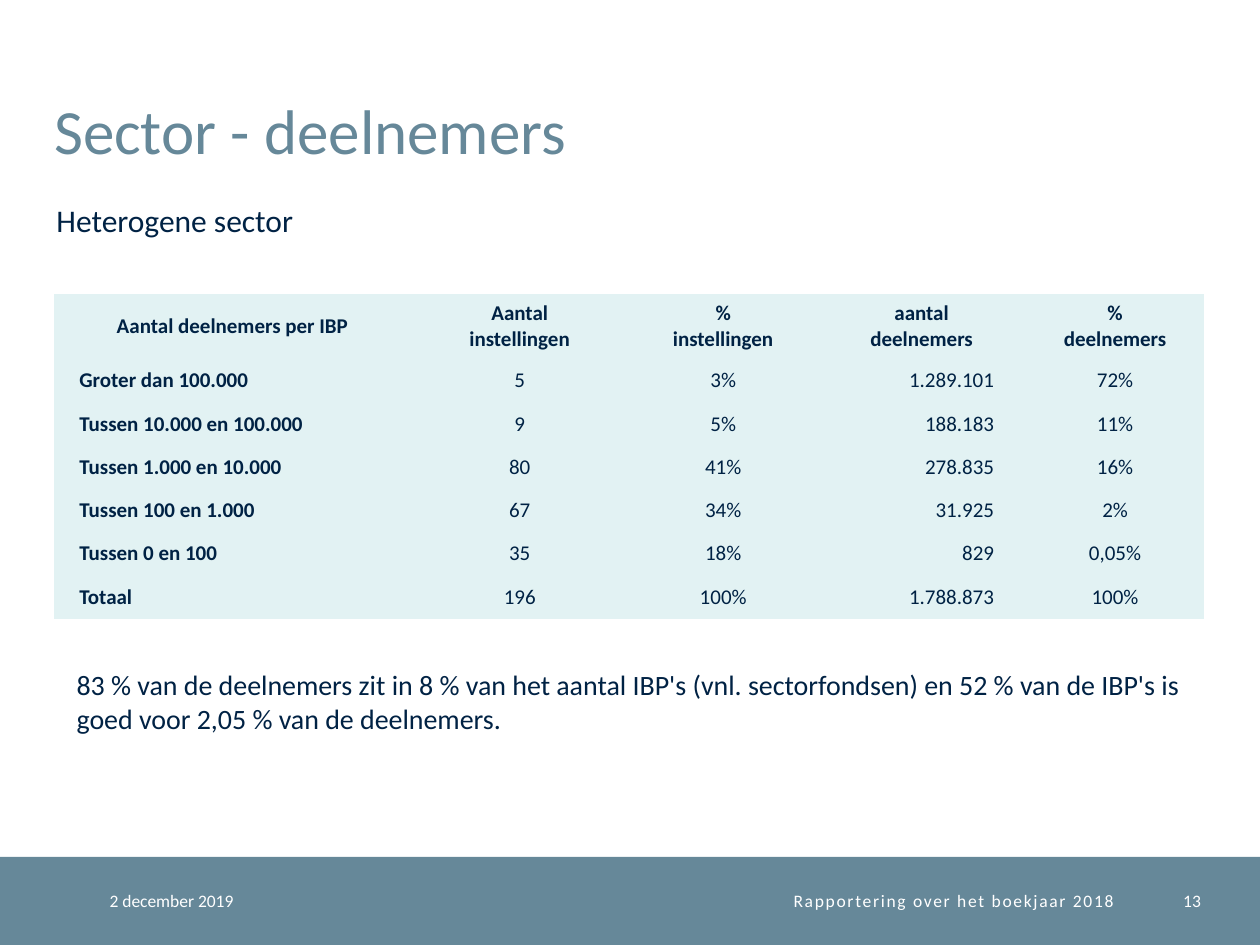
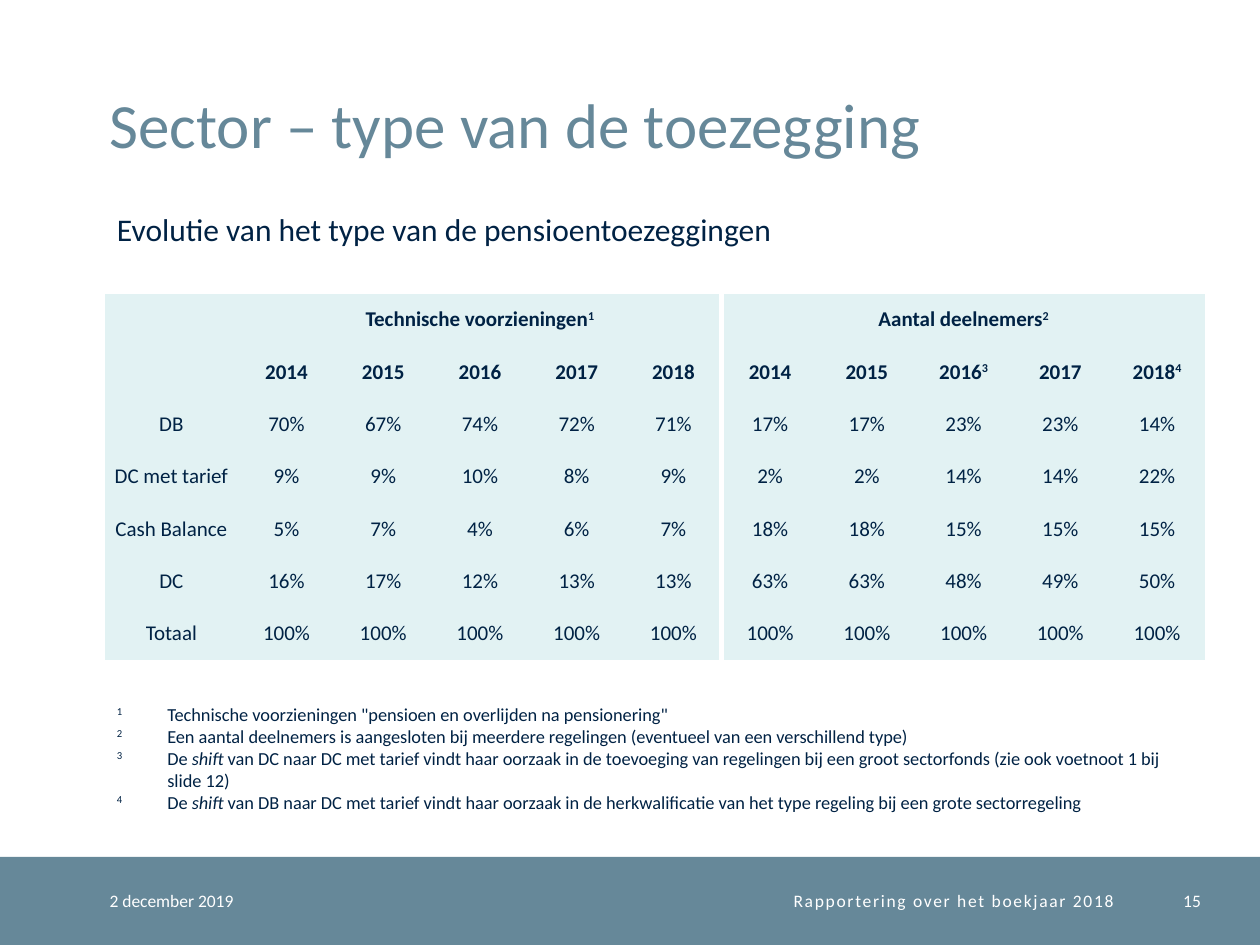
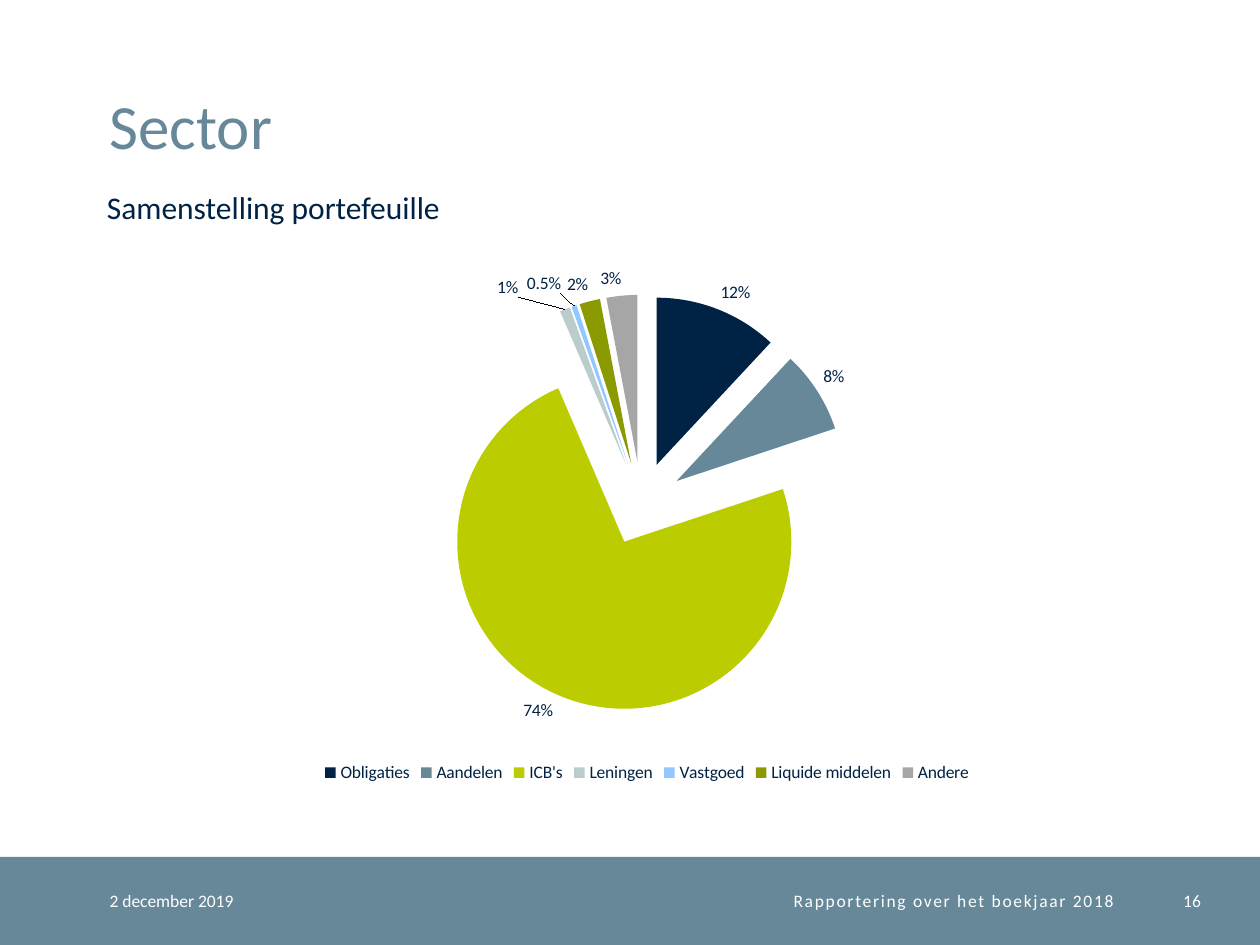
from pptx import Presentation
from pptx.chart.data import CategoryChartData
from pptx.dml.color import RGBColor
from pptx.enum.chart import XL_CHART_TYPE, XL_LABEL_POSITION, XL_LEGEND_POSITION
from pptx.enum.shapes import MSO_SHAPE
from pptx.enum.text import MSO_ANCHOR, MSO_AUTO_SIZE, PP_ALIGN
from pptx.oxml import parse_xml
from pptx.oxml.ns import nsdecls, qn
from pptx.util import Inches, Pt

WHITE = RGBColor(0xFF, 0xFF, 0xFF)
NAVY = RGBColor(0x00, 0x22, 0x44)
STEEL = RGBColor(0x66, 0x88, 0x99)
MINT = RGBColor(0xE2, 0xF2, 0xF3)
LIME = RGBColor(0xBB, 0xCC, 0x00)
MIST = RGBColor(0xBB, 0xCC, 0xCC)
SKY = RGBColor(0x91, 0xC8, 0xFF)
OLIVE = RGBColor(0x8B, 0x9A, 0x00)
GREY = RGBColor(0xA6, 0xA6, 0xA6)

LEFT, CENTER, RIGHT = PP_ALIGN.LEFT, PP_ALIGN.CENTER, PP_ALIGN.RIGHT
MIDDLE, BOTTOM = MSO_ANCHOR.MIDDLE, MSO_ANCHOR.BOTTOM
FIXED = MSO_AUTO_SIZE.NONE
RECT = MSO_SHAPE.RECTANGLE
PIE = XL_CHART_TYPE.PIE
BELOW = XL_LEGEND_POSITION.BOTTOM
OUTSIDE = XL_LABEL_POSITION.OUTSIDE_END

FONT = "Calibri"
DATE = "2 december 2019"
REPORT = "Rapportering over het boekjaar 2018"
PLAIN_GRID = "{2D5ABB26-0587-4C30-8999-92F81FD0307C}"

SIZES = [
    (["Aantal deelnemers per IBP"], ["Aantal", "instellingen"], ["%", "instellingen"],
     ["aantal", "deelnemers"], ["%", "deelnemers"]),
    ("Groter dan 100.000", "5", "3%", "1.289.101", "72%"),
    ("Tussen 10.000 en 100.000", "9", "5%", "188.183", "11%"),
    ("Tussen 1.000 en 10.000", "80", "41%", "278.835", "16%"),
    ("Tussen 100 en 1.000", "67", "34%", "31.925", "2%"),
    ("Tussen 0 en 100", "35", "18%", "829", "0,05%"),
    ("Totaal", "196", "100%", "1.788.873", "100%"),
]

# A piece that starts with ^ is raised, one that starts with _ is italic.
PLANS = [
    ("2014", "2015", "2016", "2017", "2018",
     "2014", "2015", ("2016", "^3"), "2017", ("2018", "^4")),
    ("70%", "67%", "74%", "72%", "71%", "17%", "17%", "23%", "23%", "14%"),
    ("9%", "9%", "10%", "8%", "9%", "2%", "2%", "14%", "14%", "22%"),
    ("5%", "7%", "4%", "6%", "7%", "18%", "18%", "15%", "15%", "15%"),
    ("16%", "17%", "12%", "13%", "13%", "63%", "63%", "48%", "49%", "50%"),
    ("100%",) * 10,
]
PLAN_NAMES = ["", "DB", "DC met tarief", "Cash Balance", "DC", "Totaal"]

NOTES = [
    ("^1", '\tTechnische voorzieningen "pensioen en overlijden na pensionering"'),
    ("^2", "\tEen aantal deelnemers is aangesloten bij meerdere regelingen "
           "(eventueel van een verschillend type)"),
    ("^3", "\tDe ", "_shift", " van DC naar DC met tarief vindt haar oorzaak in de toevoeging "
           "van regelingen bij een groot sectorfonds (zie ook voetnoot 1 bij slide 12)"),
    ("^4", "\tDe ", "_shift", " van DB naar DC met tarief vindt haar oorzaak in de "
           "herkwalificatie van het type regeling bij een grote sectorregeling"),
]

ASSETS = [
    ("Obligaties", 0.12, NAVY), ("Aandelen", 0.08, STEEL), ("ICB's", 0.74, LIME),
    ("Leningen", 0.01, MIST), ("Vastgoed", 0.005, SKY),
    ("Liquide middelen", 0.02, OLIVE), ("Andere", 0.03, GREY),
]


def style(font, size, color, bold=False):
    font.name, font.size, font.bold = FONT, Pt(size), bold
    font.color.rgb = color


def write(frame, paras, size, color, align=LEFT, bold=False, hang=0):
    """Fill a text frame; a paragraph is a string or a tuple of pieces."""
    for i, pieces in enumerate(paras):
        para = frame.add_paragraph() if i else frame.paragraphs[0]
        para.alignment = align
        if hang:
            props = para._p.get_or_add_pPr()
            props.set("marL", str(Inches(hang)))
            props.set("indent", str(-Inches(hang)))
        style(para.font, size, color, bold)
        for piece in (pieces,) if isinstance(pieces, str) else pieces:
            run = para.add_run()
            run.text = piece.lstrip("^_")
            if piece.startswith("^"):
                run._r.get_or_add_rPr().set("baseline", "30000")
            elif piece.startswith("_"):
                run.font.italic = True


def trim(frame):
    """Remove the insets of a text frame."""
    frame.margin_left = frame.margin_right = 0
    frame.margin_top = frame.margin_bottom = 0


def edge(cell, side, color=None):
    """Set one border of a table cell: 3 pt in the colour, or none."""
    fill = (f'<a:solidFill><a:srgbClr val="{color}"/></a:solidFill>' if color
            else "<a:noFill/>")
    width = Pt(3) if color else 0
    cell._tc.get_or_add_tcPr().insert(0, parse_xml(
        f'<a:{side} {nsdecls("a")} w="{width}">{fill}</a:{side}>'))


def layout(**parts):
    """Build a manual chart layout from its target, modes and lengths."""
    items = "".join(f'<c:{key} val="{val}"/>' for key, val in parts.items())
    return parse_xml(f'<c:layout {nsdecls("c")}><c:manualLayout>{items}'
                     '</c:manualLayout></c:layout>')


class Deck:
    def __init__(self):
        self.prs = Presentation()
        self.prs.slide_width, self.prs.slide_height = Inches(10), Inches(7.5)
        self.slide = None

    def start(self, title, left, top, number):
        """Begin a slide with its title, band and footer."""
        self.slide = self.prs.slides.add_slide(self.prs.slide_layouts[5])
        self.band()
        head = self.slide.shapes.title
        head.left, head.top = Inches(left), Inches(top)
        head.width, head.height = Inches(8.63), Inches(1.08)
        frame = head.text_frame
        frame.auto_size, frame.vertical_anchor = FIXED, BOTTOM
        trim(frame)
        write(frame, [title], 36, STEEL)
        frame.paragraphs[0].line_spacing = Pt(32)
        self.foot(DATE, 0.87, 1.77, LEFT)
        name = self.foot(REPORT, 2.64, 6.2, RIGHT)
        name.paragraphs[0].runs[0]._r.get_or_add_rPr().set("spc", "100")
        self.foot(number, 9.04, 0.49, RIGHT)

    def band(self):
        bar = self.slide.shapes.add_shape(RECT, 0, Inches(6.8), Inches(10), Inches(0.7))
        bar.shadow.inherit = False
        bar.fill.solid()
        bar.fill.fore_color.rgb = STEEL
        bar.line.fill.background()

    def box(self, left, top, width, height):
        frame = self.slide.shapes.add_textbox(
            Inches(left), Inches(top), Inches(width), Inches(height)).text_frame
        frame.word_wrap = True
        return frame

    def foot(self, text, left, width, align):
        frame = self.box(left, 6.8, width, 0.7)
        frame.vertical_anchor = MIDDLE
        trim(frame)
        write(frame, [text], 10, WHITE, align)
        return frame

    def text(self, paras, left, top, width, height, size=18, hang=0):
        write(self.box(left, top, width, height), paras, size, NAVY, hang=hang)

    def grid(self, left, top, widths, heights):
        """Add an empty table without borders, all cells in the pale tint."""
        shape = self.slide.shapes.add_table(
            len(heights), len(widths), Inches(left), Inches(top),
            Inches(sum(widths)), Inches(sum(heights)))
        table = shape.table
        table.first_row = table.horz_banding = False
        table._tbl.tblPr.find(qn("a:tableStyleId")).text = PLAIN_GRID
        for col, width in zip(table.columns, widths):
            col.width = Inches(width)
        for row, height in zip(table.rows, heights):
            row.height = Inches(height)
        for cell in table.iter_cells():
            trim(cell)
            cell.vertical_anchor = MIDDLE
            cell.fill.solid()
            cell.fill.fore_color.rgb = MINT
        return table

    def cell(self, cell, paras, align=CENTER, bold=False):
        write(cell.text_frame, paras, 12, NAVY, align, bold)

    def pie(self, left, top, width, height, parts):
        names, values, colors = zip(*parts)
        data = CategoryChartData(number_format="0%")
        data.categories = names
        data.add_series("Series 1", values)
        chart = self.slide.shapes.add_chart(
            PIE, Inches(left), Inches(top), Inches(width), Inches(height), data).chart
        chart.has_title = False
        style(chart.font, 10, NAVY)
        chart.has_legend = True
        chart.legend.position = BELOW
        chart.legend.include_in_layout = False
        chart.plots[0].vary_by_categories = True
        series = chart.plots[0].series[0]
        for i, color in enumerate(colors):
            fill = series.points[i].format.fill
            fill.solid()
            fill.fore_color.rgb = color
        series._element.find(qn("c:tx")).addnext(
            parse_xml(f'<c:explosion {nsdecls("c")} val="25"/>'))
        labels = series.data_labels
        labels.show_value = True
        labels.number_format, labels.number_format_is_linked = "0%", False
        labels.position = OUTSIDE
        style(labels.font, 10, NAVY)
        area = chart._chartSpace.chart.plotArea
        for old in area.findall(qn("c:layout")):
            area.remove(old)
        area.insert(0, layout(layoutTarget="inner", xMode="edge", yMode="edge",
                              x=0.3, y=0.08, w=0.39, h=0.78))
        return series

    def shift(self, series, index, x, y, code):
        """Move one data label by a part of the chart size and set its format."""
        label = series.points[index].data_label
        style(label.font, 10, NAVY)
        label.position = OUTSIDE
        mark = series.data_labels._element.findall(qn("c:dLbl"))[-1]
        mark.insert(1, layout(x=x, y=y))
        mark.insert(2, parse_xml(
            f'<c:numFmt {nsdecls("c")} formatCode="{code}" sourceLinked="0"/>'))


def members(deck):
    deck.start("Sector - deelnemers", 0.43, 0.25, "13")
    deck.text(["Heterogene sector"], 0.35, 1.55, 3.23, 0.4)
    table = deck.grid(0.43, 2.33, [2.83, 1.73, 1.5, 1.65, 1.42], [0.52] + [2.06 / 6] * 6)
    for c, head in enumerate(SIZES[0]):
        deck.cell(table.cell(0, c), head, bold=True)
    for r, row in enumerate(SIZES[1:], 1):
        for c, text in enumerate(row):
            cell = table.cell(r, c)
            if c == 0:
                cell.margin_left = Inches(0.2)
            elif c == 3:
                cell.margin_right = Inches(0.25)
            deck.cell(cell, [text], {0: LEFT, 3: RIGHT}.get(c, CENTER), c == 0)
    deck.text(["83 % van de deelnemers zit in 8 % van het aantal IBP's (vnl. sectorfondsen) "
               "en 52 % van de IBP's is goed voor 2,05 % van de deelnemers."],
              0.51, 5.25, 9.06, 0.64, 16)


def pledges(deck):
    deck.start("Sector – type van de toezegging", 0.87, 0.2, "15")
    deck.text(["Evolutie van het type van de pensioentoezeggingen"], 0.83, 1.62, 8.43, 0.4)
    table = deck.grid(0.83, 2.33, [1.06] + [7.68 / 10] * 10, [2.91 / 7] * 7)
    table.cell(0, 0).merge(table.cell(1, 0))
    heads = [("Technische voorzieningen", "^1"), ("Aantal deelnemers", "^2")]
    for c, head in zip((1, 6), heads):
        table.cell(0, c).merge(table.cell(0, c + 4))
        deck.cell(table.cell(0, c), [head], bold=True)
    for r, (name, row) in enumerate(zip(PLAN_NAMES, PLANS), 1):
        if name:
            deck.cell(table.cell(r, 0), [name])
        for c, text in enumerate(row, 1):
            deck.cell(table.cell(r, c), [text], bold=r == 1)
    for r in range(7):
        edge(table.cell(r, 5 if r else 1), "lnR", WHITE)
        edge(table.cell(r, 6), "lnR")
        edge(table.cell(r, 6), "lnL", WHITE)
        edge(table.cell(r, 7), "lnL")
    deck.text(NOTES, 0.83, 5.53, 8.74, 0.98, 10.5, 0.4)


def assets(deck):
    deck.start("Sector", 0.87, 0.21, "16")
    deck.text(["Samenstelling portefeuille"], 0.75, 1.44, 3.85, 0.4)
    series = deck.pie(0.75, 2, 8.77, 4.25, ASSETS)
    deck.shift(series, 3, -0.04, -0.01, "0%")
    deck.shift(series, 4, -0.01, -0.01, "0.0%")


def main():
    deck = Deck()
    members(deck)
    pledges(deck)
    assets(deck)
    deck.prs.save("out.pptx")


if __name__ == "__main__":
    main()
